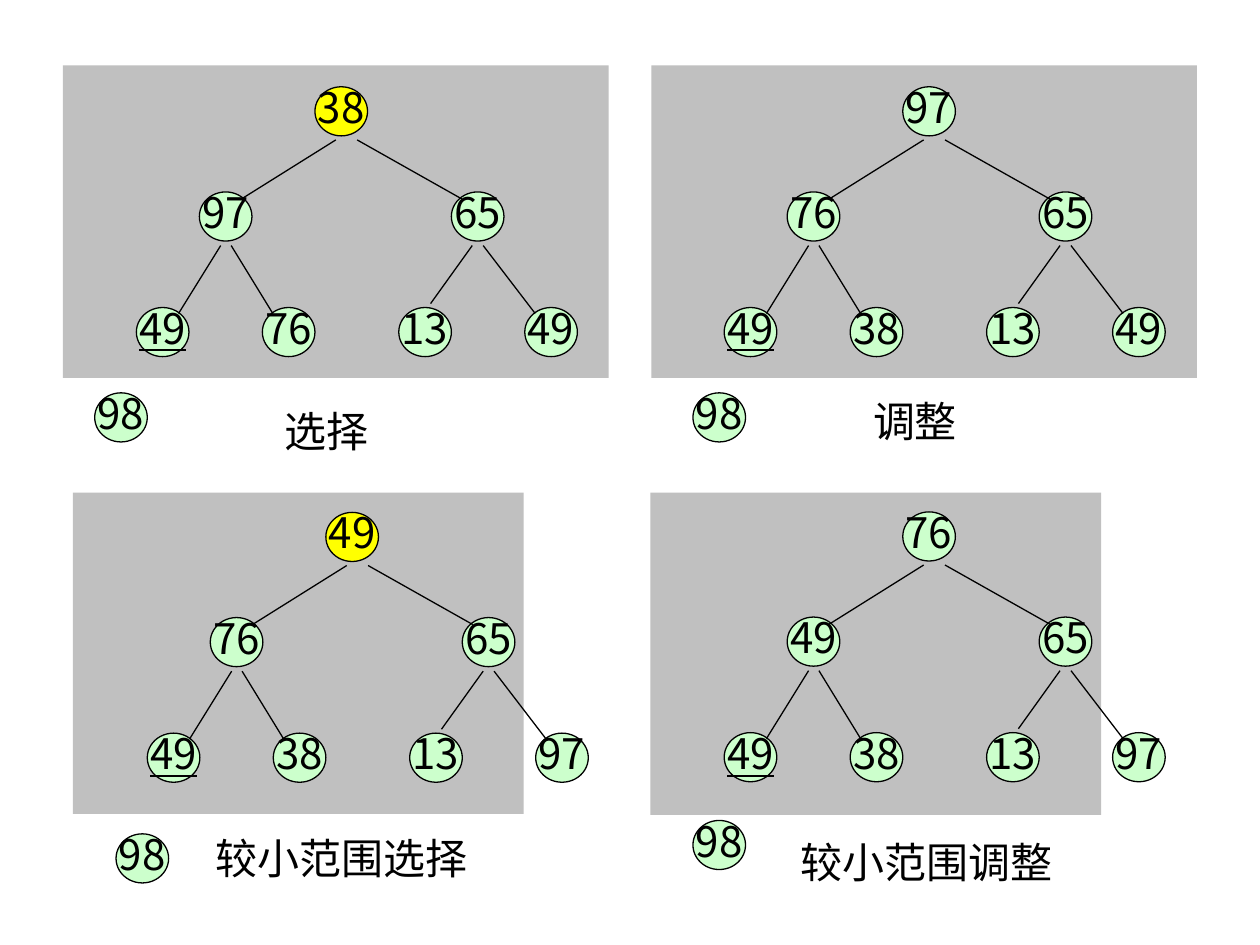
from dataclasses import dataclass

from pptx import Presentation
from pptx.dml.color import RGBColor
from pptx.enum.shapes import MSO_CONNECTOR, MSO_SHAPE
from pptx.enum.text import MSO_ANCHOR, PP_ALIGN
from pptx.oxml.ns import qn
from pptx.util import Cm, Pt
from lxml import etree

BLACK = RGBColor(0x00, 0x00, 0x00)
PANEL_GREY = RGBColor(0xC0, 0xC0, 0xC0)
NODE_GREEN = RGBColor(0xCC, 0xFF, 0xCC)
SELECTED_YELLOW = RGBColor(0xFF, 0xFF, 0x00)
RECTANGLE, OVAL = MSO_SHAPE.RECTANGLE, MSO_SHAPE.OVAL
STRAIGHT = MSO_CONNECTOR.STRAIGHT
MIDDLE, TOP = MSO_ANCHOR.MIDDLE, MSO_ANCHOR.TOP
CENTER, LEFT = PP_ALIGN.CENTER, PP_ALIGN.LEFT

NODE_FONT, CAPTION_FONT = "Noto Sans CJK SC", "Times New Roman"
NODE_WIDTH, NODE_HEIGHT = 1.06, 0.99
CAPTION_HEIGHT = 1.27
LINE_WIDTH = Pt(0.75)

# Centimetres from the top left corner of the root, level by level.
NODE_OFFSETS = [
    (0, 0),
    (-2.33, 2.12), (2.75, 2.12),
    (-3.6, 4.45), (-1.06, 4.45), (1.69, 4.45), (4.23, 4.45),
]
EDGE_OFFSETS = [
    ((0.42, 1.07), (-1.48, 2.26)), ((0.85, 1.07), (2.96, 2.26)),
    ((-1.9, 3.2), (-2.75, 4.57)), ((-1.69, 3.2), (-0.85, 4.57)),
    ((3.17, 3.2), (2.33, 4.37)), ((3.39, 3.2), (4.44, 4.57)),
]
ROOT, FIRST_LEAF = 0, 3


@dataclass(frozen=True)
class HeapStep:
    """One stage of the heap sort; lengths in centimetres."""
    caption: str
    caption_box: tuple[float, float, float]  # left, top, width
    panel: tuple[float, float, float, float]
    root: tuple[float, float]
    keys: tuple[int, ...]  # level order
    sorted_at: tuple[float, float]
    root_selected: bool = False


SORTED_KEY = 98
STEPS = [
    HeapStep("选择", (5.49, 8.05, 3.18), (1.27, 1.32, 11, 6.3), (6.35, 1.75),
             (38, 97, 65, 49, 76, 13, 49), (1.91, 7.92), True),
    HeapStep("调整", (17.35, 7.85, 3.18), (13.13, 1.32, 11, 6.3), (18.2, 1.75),
             (97, 76, 65, 49, 38, 13, 49), (13.97, 7.92)),
    HeapStep("较小范围选择", (4.09, 16.66, 6.78), (1.47, 9.93, 9.09, 6.48), (6.57, 10.33),
             (49, 76, 65, 49, 38, 13, 97), (2.34, 16.81), True),
    HeapStep("较小范围调整", (15.88, 16.74, 6.15), (13.11, 9.93, 9.09, 6.5), (18.2, 10.32),
             (76, 49, 65, 49, 38, 13, 97), (13.97, 16.54)),
]


def write_text(shape, text: str, *, font: str, align=LEFT, anchor=TOP, wrap: bool = True,
               line_spacing: float = 1.0, underline: bool = False) -> None:
    frame = shape.text_frame
    frame.word_wrap = wrap
    frame.vertical_anchor = anchor
    paragraph = frame.paragraphs[0]
    paragraph.alignment = align
    paragraph.line_spacing = line_spacing
    run = paragraph.add_run()
    run.text = text
    run.font.name = font
    run.font.size = Pt(24)
    run.font.color.rgb = BLACK
    if underline:
        run.font.underline = True


def add_panel(slide, box: tuple[float, float, float, float]) -> None:
    panel = slide.shapes.add_shape(RECTANGLE, *map(Cm, box))
    panel.shadow.inherit = False
    panel.fill.solid()
    panel.fill.fore_color.rgb = PANEL_GREY
    panel.line.fill.background()


def add_node(slide, key: int, left: float, top: float, *,
             fill: RGBColor = NODE_GREEN, underline: bool = False) -> None:
    node = slide.shapes.add_shape(OVAL, Cm(left), Cm(top), Cm(NODE_WIDTH), Cm(NODE_HEIGHT))
    node.shadow.inherit = False
    node.fill.solid()
    node.fill.fore_color.rgb = fill
    node.line.color.rgb = BLACK
    node.line.width = LINE_WIDTH
    write_text(node, str(key), font=NODE_FONT, align=CENTER, anchor=MIDDLE,
               wrap=False, line_spacing=0.8, underline=underline)


def add_edge(slide, x1: float, y1: float, x2: float, y2: float) -> None:
    edge = slide.shapes.add_connector(STRAIGHT, Cm(x1), Cm(y1), Cm(x2), Cm(y2))
    edge.line.color.rgb = BLACK
    edge.line.width = LINE_WIDTH
    etree.SubElement(edge._element.spPr, qn("a:effectLst"))


def add_caption(slide, text: str, left: float, top: float, width: float) -> None:
    caption = slide.shapes.add_textbox(Cm(left), Cm(top), Cm(width), Cm(CAPTION_HEIGHT))
    write_text(caption, text, font=CAPTION_FONT)


def draw_step(slide, step: HeapStep) -> None:
    add_panel(slide, step.panel)
    root_x, root_y = step.root
    for index, (key, (dx, dy)) in enumerate(zip(step.keys, NODE_OFFSETS)):
        selected = index == ROOT and step.root_selected
        add_node(slide, key, root_x + dx, root_y + dy,
                 fill=SELECTED_YELLOW if selected else NODE_GREEN,
                 underline=index == FIRST_LEAF)
    for (x1, y1), (x2, y2) in EDGE_OFFSETS:
        add_edge(slide, root_x + x1, root_y + y1, root_x + x2, root_y + y2)
    add_node(slide, SORTED_KEY, *step.sorted_at)
    add_caption(slide, step.caption, *step.caption_box)


def main() -> None:
    presentation = Presentation()
    presentation.slide_width, presentation.slide_height = Cm(25.4), Cm(19.05)
    slide = presentation.slides.add_slide(presentation.slide_layouts[6])
    for step in STEPS:
        draw_step(slide, step)
    presentation.save("out.pptx")


if __name__ == "__main__":
    main()
